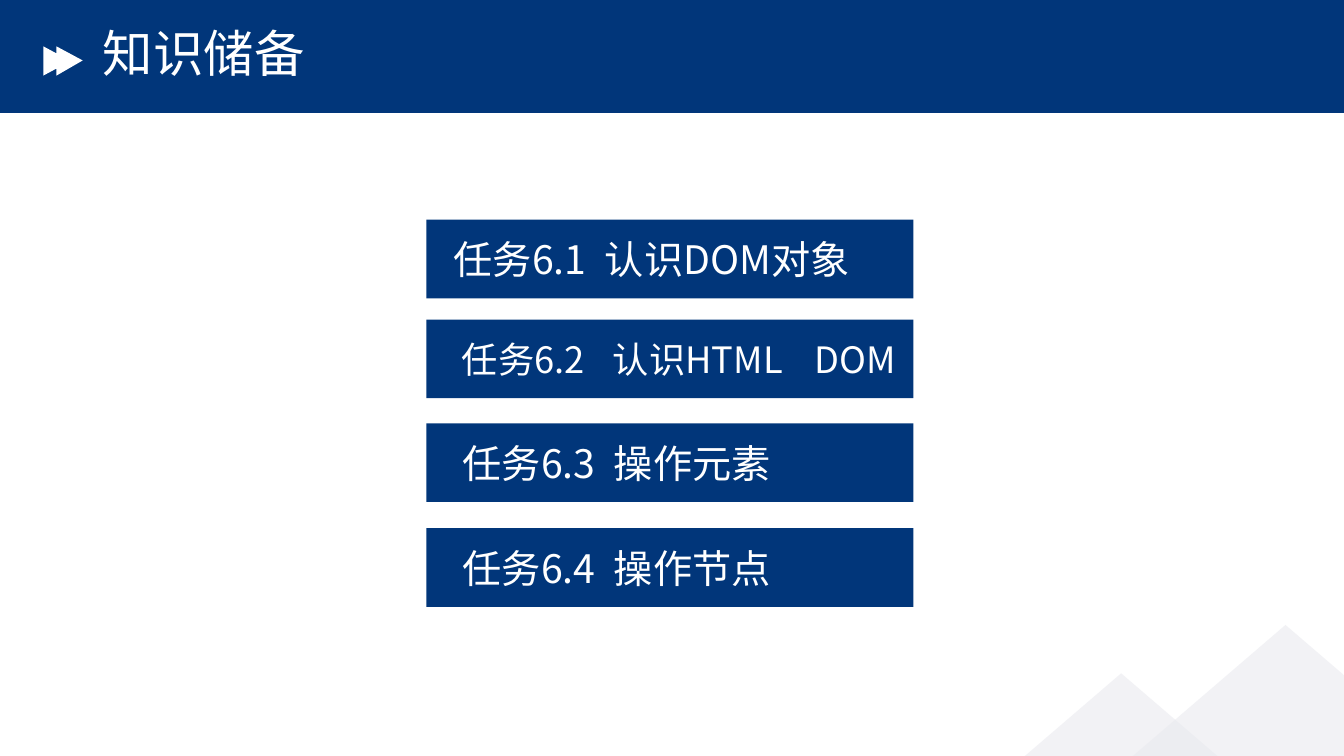
"""Build the chapter overview slide listing four tasks."""
import pptx
import pptx.dml.color
import pptx.enum.shapes
import pptx.enum.text
import pptx.oxml
import pptx.oxml.ns
import pptx.util
from pptx.util import Inches

NAVY = pptx.dml.color.RGBColor(0x01, 0x36, 0x7A)
WHITE = pptx.dml.color.RGBColor(0xFF, 0xFF, 0xFF)
MIST = pptx.dml.color.RGBColor(0xE9, 0xEA, 0xEF)
FONT = "Noto Sans CJK SC"
NAMESPACE = pptx.oxml.ns.nsdecls("a")
RECTANGLE = pptx.enum.shapes.MSO_SHAPE.RECTANGLE
TRIANGLE = pptx.enum.shapes.MSO_SHAPE.ISOSCELES_TRIANGLE


def paint(shape, color):
    shape.shadow.inherit = False
    shape.fill.solid()
    shape.fill.fore_color.rgb = color
    shape.line.fill.background()


def style_font(paragraph, size):
    paragraph.font.size = pptx.util.Pt(size)
    paragraph.font.color.rgb = WHITE
    paragraph.font.name = FONT
    properties = paragraph.font._element
    properties.append(pptx.oxml.parse_xml(f'<a:ea {NAMESPACE} typeface="{FONT}"/>'))


presentation = pptx.Presentation()
presentation.slide_width = Inches(13.33)
presentation.slide_height = Inches(7.5)
slide = presentation.slides.add_slide(presentation.slide_layouts[1])
shapes = slide.shapes
title, body = slide.placeholders

header = shapes.add_shape(RECTANGLE, 0, 0, Inches(13.33), Inches(1.12))
paint(header, NAVY)
shapes._spTree.insert(2, header._element)

arrow_points = [(56, 53), (56, 46), (82, 60), (56, 75), (56, 68), (43, 75)]
arrow_builder = shapes.build_freeform(43, 46, scale=Inches(0.01))
arrow_builder.add_line_segments(arrow_points, close=True)
paint(arrow_builder.convert_to_shape(), WHITE)

for left, top in [(8.92, 6.68), (10.55, 6.2)]:
    mountain = shapes.add_shape(TRIANGLE, Inches(left), Inches(top), Inches(4.4), Inches(1.89))
    paint(mountain, MIST)
    color_element = mountain.fill._xPr.find(".//" + pptx.oxml.ns.qn("a:srgbClr"))
    color_element.append(pptx.oxml.parse_xml(f'<a:alpha {NAMESPACE} val="59000"/>'))

title.left, title.top = Inches(0.92), Inches(0.28)
title.width, title.height = Inches(6.58), Inches(0.56)
title.text_frame.text = "知识储备"
title.text_frame.vertical_anchor = pptx.enum.text.MSO_ANCHOR.MIDDLE
title_paragraph = title.text_frame.paragraphs[0]
title_paragraph.alignment = pptx.enum.text.PP_ALIGN.LEFT
title_paragraph.line_spacing = 0.9
style_font(title_paragraph, 36)

tasks = [
    ("任务6.1\t认识DOM对象", 2.18, 28, 0.27, [1.69]),
    ("任务6.2\t认识HTML\tDOM", 3.17, 25.9, 0.35, [1.56, 3.5]),
    ("任务6.3\t操作元素", 4.2, 28, 0.36, [1.68]),
    ("任务6.4\t操作节点", 5.24, 28, 0.36, [1.68]),
]
for number, (text, top, size, margin, tab_stops) in enumerate(tasks):
    box = body if number == 0 else shapes.add_shape(RECTANGLE, 0, 0, 0, 0)
    box.left, box.top = Inches(4.23), Inches(top)
    box.width, box.height = Inches(4.83), Inches(0.78)
    box.fill.solid()
    box.fill.fore_color.rgb = NAVY
    box.line.fill.background()
    if box is not body:
        box.shadow.inherit = False
    frame = box.text_frame
    frame.text = text
    frame.word_wrap = True
    frame.vertical_anchor = pptx.enum.text.MSO_ANCHOR.MIDDLE
    frame.margin_left, frame.margin_right = Inches(margin), 0
    paragraph = frame.paragraphs[0]
    paragraph.alignment = pptx.enum.text.PP_ALIGN.LEFT
    paragraph.space_before = pptx.util.Pt(0)
    properties = paragraph._p.get_or_add_pPr()
    properties.set("marL", "0")
    properties.set("indent", "0")
    properties.append(pptx.oxml.parse_xml(f"<a:buNone {NAMESPACE}/>"))
    stops = "".join(f'<a:tab pos="{Inches(stop)}" algn="l"/>' for stop in tab_stops)
    properties.append(pptx.oxml.parse_xml(f"<a:tabLst {NAMESPACE}>{stops}</a:tabLst>"))
    style_font(paragraph, size)

presentation.save("out.pptx")
